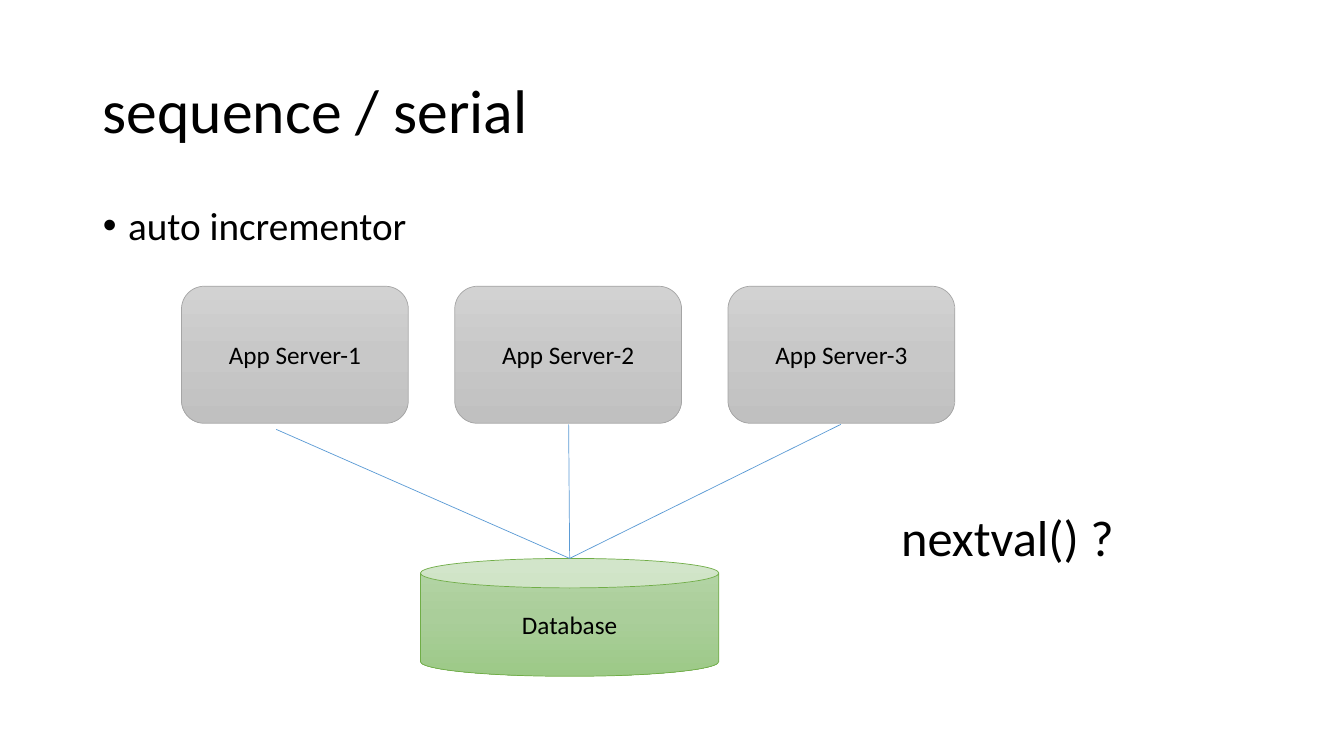
import copy
import dataclasses
import pptx
import pptx.dml.color
import pptx.enum.shapes
import pptx.enum.text
import pptx.oxml.ns
import pptx.util
import lxml.etree

Inches = pptx.util.Inches
Pt = pptx.util.Pt
RGBColor = pptx.dml.color.RGBColor
MSO_SHAPE = pptx.enum.shapes.MSO_SHAPE
PP_ALIGN = pptx.enum.text.PP_ALIGN
MSO_ANCHOR = pptx.enum.text.MSO_ANCHOR
qn = pptx.oxml.ns.qn


@dataclasses.dataclass(frozen=True)
class Theme:
    font: str = "Calibri"
    text: str = "000000"
    server_fill: tuple = ("D2D2D2", "C8C8C8", "C0C0C0")
    server_line: str = "A5A5A5"
    database_fill: tuple = ("B5D5A7", "AACE9A", "9CC987")
    database_line: str = "70AD47"
    link: str = "5B9BD5"
    line_width: float = 0.5
    title_size: int = 44
    body_size: int = 28
    label_size: int = 18
    question_size: int = 36


theme = Theme()


def write_text(shape, text, size, alignment=PP_ALIGN.LEFT, anchor=MSO_ANCHOR.TOP):
    frame = shape.text_frame
    frame.word_wrap = True
    frame.auto_size = pptx.enum.text.MSO_AUTO_SIZE.NONE
    frame.vertical_anchor = anchor
    paragraph = frame.paragraphs[0]
    paragraph.alignment = alignment
    run = paragraph.add_run()
    run.text = text
    run.font.name = theme.font
    run.font.size = Pt(size)
    run.font.color.rgb = RGBColor.from_string(theme.text)
    return paragraph


def add_node(kind, text, left, top, width, height, colors, line_color):
    shape = slide.shapes.add_shape(
        kind, Inches(left), Inches(top), Inches(width), Inches(height))
    shape.shadow.inherit = False
    shape.fill.gradient()
    shape.fill.gradient_angle = 270
    stop_list = shape._element.spPr.find(qn("a:gradFill")).find(qn("a:gsLst"))
    stop_list.insert(1, copy.deepcopy(stop_list[0]))
    for stop, position, color in zip(shape.fill.gradient_stops, (0, 0.5, 1), colors):
        stop.position = position
        stop.color.rgb = RGBColor.from_string(color)
    shape.line.color.rgb = RGBColor.from_string(line_color)
    shape.line.width = Pt(theme.line_width)
    write_text(shape, text, theme.label_size, PP_ALIGN.CENTER, MSO_ANCHOR.MIDDLE)


presentation = pptx.Presentation()
presentation.slide_width = Inches(13.33)
presentation.slide_height = Inches(7.5)
slide = presentation.slides.add_slide(presentation.slide_layouts[1])

title = slide.shapes.title
title.left, title.top = Inches(0.92), Inches(0.4)
title.width, title.height = Inches(11.5), Inches(1.45)
paragraph = write_text(title, "sequence / serial", theme.title_size, anchor=MSO_ANCHOR.MIDDLE)
paragraph.line_spacing = 0.9

body = slide.placeholders[1]
body.left, body.top = Inches(0.92), Inches(2)
body.width, body.height = Inches(11.5), Inches(4.76)
paragraph = write_text(body, "auto incrementor", theme.body_size)
paragraph.line_spacing = 0.9
paragraph.space_before = Pt(10)
properties = paragraph._p.get_or_add_pPr()
properties.set("marL", str(Inches(0.25)))
properties.set("indent", str(-Inches(0.25)))
lxml.etree.SubElement(properties, qn("a:buFont")).set("typeface", "Arial")
lxml.etree.SubElement(properties, qn("a:buChar")).set("char", "•")

for index in range(3):
    add_node(MSO_SHAPE.ROUNDED_RECTANGLE, f"App Server-{index + 1}",
             1.8 + 2.71 * index, 2.84, 2.25, 1.36,
             theme.server_fill, theme.server_line)

add_node(MSO_SHAPE.CAN, "Database", 4.17, 5.54, 2.96, 1.17,
         theme.database_fill, theme.database_line)

for start_x, start_y in ((2.74, 4.26), (5.64, 4.21), (8.34, 4.21)):
    link = slide.shapes.add_connector(
        pptx.enum.shapes.MSO_CONNECTOR.STRAIGHT,
        Inches(start_x), Inches(start_y), Inches(5.65), Inches(5.54))
    link.line.color.rgb = RGBColor.from_string(theme.link)
    link.line.width = Pt(theme.line_width)
    lxml.etree.SubElement(link._element.spPr, qn("a:effectLst"))

question = slide.shapes.add_textbox(Inches(8.84), Inches(4.97), Inches(3.5), Inches(0.71))
write_text(question, "nextval() ?", theme.question_size)
question.text_frame.auto_size = pptx.enum.text.MSO_AUTO_SIZE.SHAPE_TO_FIT_TEXT

presentation.save("out.pptx")
